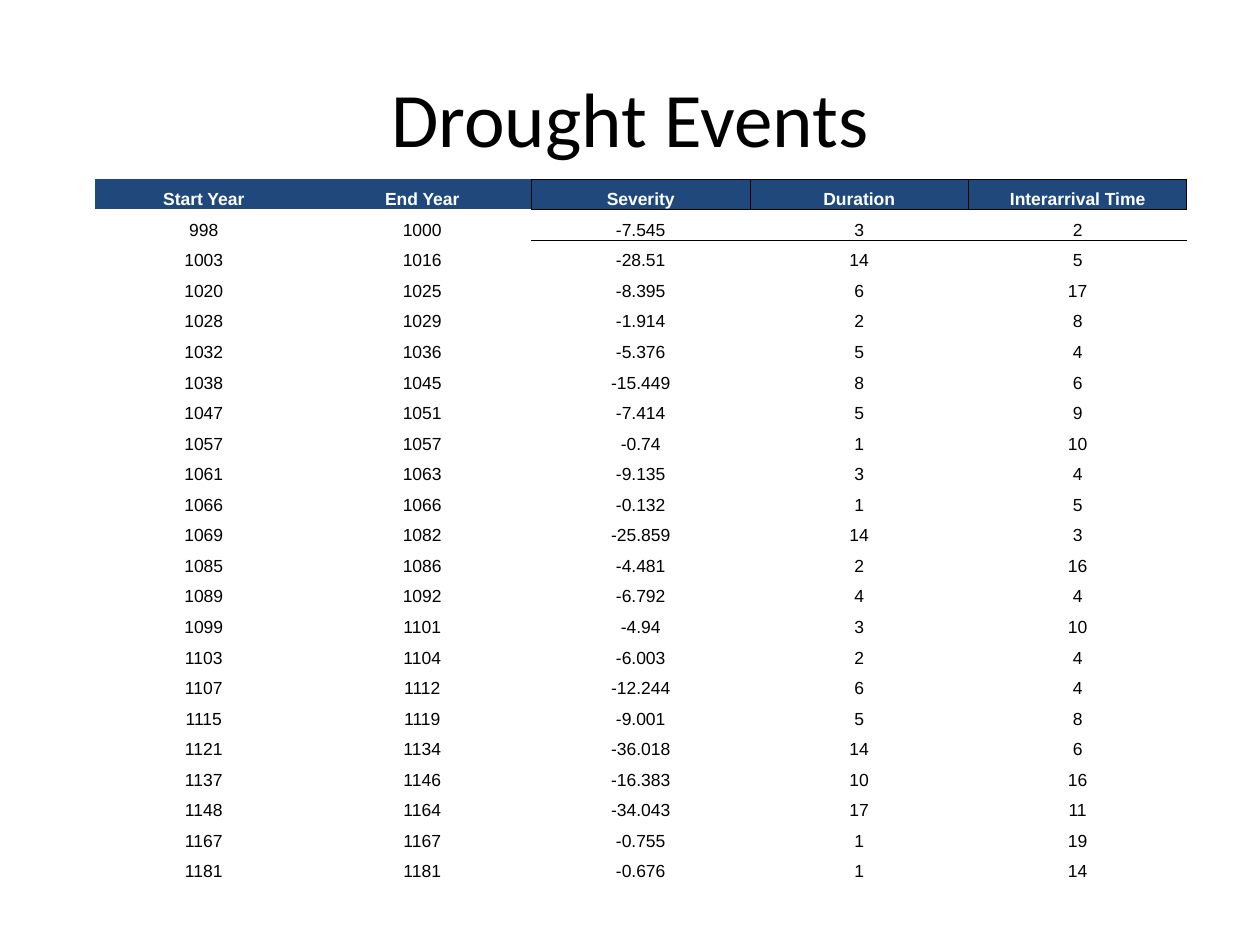
from lxml import etree
from pptx import Presentation
from pptx.dml import color
from pptx.enum import text
from pptx.oxml import ns
from pptx.util import Inches, Pt

HEADERS = ["Start Year", "End Year", "Severity", "Duration", "Interarrival Time"]
EVENTS = [
    ("998", "1000", "-7.545", "3", "2"),
    ("1003", "1016", "-28.51", "14", "5"),
    ("1020", "1025", "-8.395", "6", "17"),
    ("1028", "1029", "-1.914", "2", "8"),
    ("1032", "1036", "-5.376", "5", "4"),
    ("1038", "1045", "-15.449", "8", "6"),
    ("1047", "1051", "-7.414", "5", "9"),
    ("1057", "1057", "-0.74", "1", "10"),
    ("1061", "1063", "-9.135", "3", "4"),
    ("1066", "1066", "-0.132", "1", "5"),
    ("1069", "1082", "-25.859", "14", "3"),
    ("1085", "1086", "-4.481", "2", "16"),
    ("1089", "1092", "-6.792", "4", "4"),
    ("1099", "1101", "-4.94", "3", "10"),
    ("1103", "1104", "-6.003", "2", "4"),
    ("1107", "1112", "-12.244", "6", "4"),
    ("1115", "1119", "-9.001", "5", "8"),
    ("1121", "1134", "-36.018", "14", "6"),
    ("1137", "1146", "-16.383", "10", "16"),
    ("1148", "1164", "-34.043", "17", "11"),
    ("1167", "1167", "-0.755", "1", "19"),
    ("1181", "1181", "-0.676", "1", "14"),
]
BLACK, WHITE, NAVY = "000000", "FFFFFF", "1F497D"
PLAIN_STYLE = "{2D5ABB26-0587-4C30-8999-92F81FD0307C}"


def rgb(value):
    """Turn a hex string into a colour."""
    return color.RGBColor.from_string(value)


def write_centred(frame, words, font_name, size, hex_color, bold=False):
    """Write one centred run into a text frame."""
    paragraph = frame.paragraphs[0]
    paragraph.alignment = text.PP_ALIGN.CENTER
    run = paragraph.add_run()
    run.text = words
    run.font.name = font_name
    run.font.size = Pt(size)
    run.font.bold = bold
    run.font.color.rgb = rgb(hex_color)


def add_title(slide, words):
    """Add the slide title."""
    shape = slide.shapes.add_textbox(Inches(0.5), Inches(0.3), Inches(9), Inches(1.25))
    shape.text_frame.word_wrap = True
    shape.text_frame.vertical_anchor = text.MSO_ANCHOR.MIDDLE
    write_centred(shape.text_frame, words, "Calibri", 44, BLACK)


def add_borders(cell, sides):
    """Draw thin black borders on the given sides, in L, R, T, B order."""
    properties = cell._tc.get_or_add_tcPr()
    for side in sides:
        line = etree.SubElement(properties, ns.qn(f"a:ln{side}"), w=str(Pt(0.5)))
        fill = etree.SubElement(line, ns.qn("a:solidFill"))
        etree.SubElement(fill, ns.qn("a:srgbClr"), val=BLACK)


def border_sides(row, column):
    """Name the bordered sides: header cells from the third column on are boxed."""
    if row == 0:
        return "LRTB" if column >= 2 else "R" if column == 1 else ""
    return "T" if row == 1 and column >= 2 else ""


def fill_cell(cell, words, row, column):
    """Set the text, borders and fill of one cell."""
    cell.margin_left = cell.margin_right = cell.margin_top = cell.margin_bottom = 0
    cell.vertical_anchor = text.MSO_ANCHOR.BOTTOM
    header = row == 0
    write_centred(cell.text_frame, words, "Arial", 10, WHITE if header else BLACK, header)
    add_borders(cell, border_sides(row, column))
    if header:
        cell.fill.solid()
        cell.fill.fore_color.rgb = rgb(NAVY)
    else:
        cell.fill.background()


def add_event_table(slide, rows):
    """Add the table of drought events with equal rows and columns."""
    frame = slide.shapes.add_table(len(rows), len(rows[0]), Inches(0.75), Inches(1.42),
                                   Inches(8.67), Inches(5.58))
    table = frame.table
    table.horz_banding = False
    table._tbl.tblPr.find(ns.qn("a:tableStyleId")).text = PLAIN_STYLE
    for row, values in enumerate(rows):
        for column, words in enumerate(values):
            fill_cell(table.cell(row, column), words, row, column)


def main():
    """Build and save the slide."""
    presentation = Presentation()
    presentation.slide_width, presentation.slide_height = Inches(10), Inches(7.5)
    slide = presentation.slides.add_slide(presentation.slide_layouts[6])
    add_event_table(slide, [HEADERS, *EVENTS])
    add_title(slide, "Drought Events")
    presentation.save("out.pptx")


if __name__ == "__main__":
    main()
